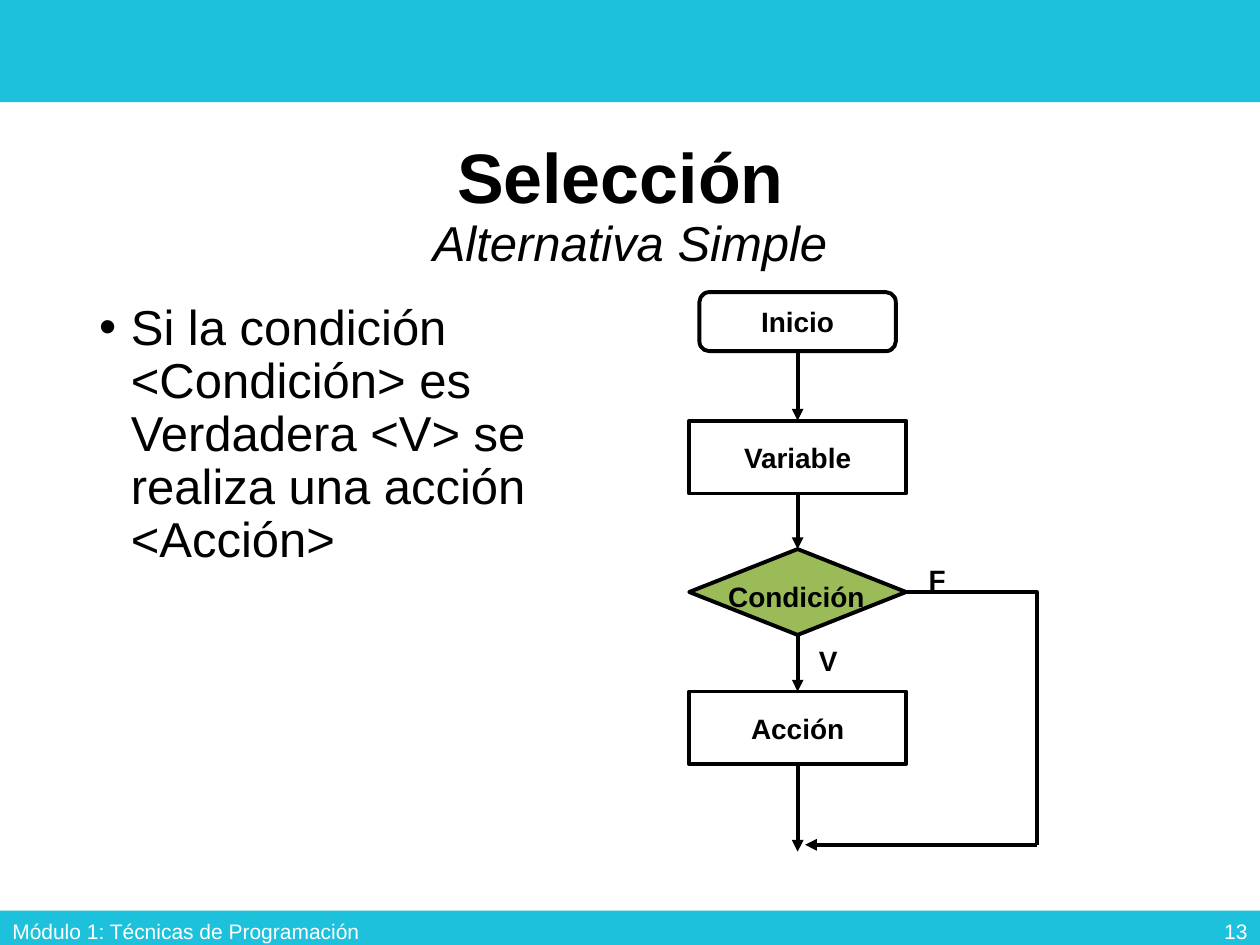
from lxml.etree import SubElement as Sub
from pptx import Presentation
from pptx.dml.color import RGBColor as Rgb
from pptx.enum.shapes import MSO_CONNECTOR as Link, MSO_SHAPE as Form
from pptx.enum.text import MSO_ANCHOR as Anchor, MSO_AUTO_SIZE as Fit, PP_ALIGN as Align
from pptx.oxml.ns import qn
from pptx.util import Cm, Pt

THEME = {
    "font": "Arial", "ink": "000000", "bar": "1DC1DC", "pale": "FFFFFF", "test": "9BBB59",
    "title": 40, "body": 28, "node": 16, "foot": 12, "line": 2.25,
}
WIDE, HIGH = 25.4, 19.05
AXIS, STOP = 16.08, 17.17
SIDE, BACK, JOIN = 20.9, 17.03, 16.23
PAD = 0.25

HEAD = "Selección "
SUBHEAD = "Alternativa Simple"
BODY = "Si la condición <Condición> es Verdadera <V> se realiza una acción <Acción>"
BARS = [(0, 2.06), (18.36, 0.69)]
FOOT = [
    ("Módulo 1: Técnicas de Programación", 0, 8.59, Align.LEFT),
    ("13", 19.69, 5.71, Align.RIGHT),
]
NODES = [
    ("Inicio", Form.ROUNDED_RECTANGLE, 5.89, 3.96, 1.19),
    ("Variable", Form.RECTANGLE, 8.48, 4.37, 1.47),
    ("", Form.DIAMOND, 11.07, 4.37, 1.73),
    ("Acción", Form.RECTANGLE, 13.94, 4.37, 1.47),
]
LABELS = [
    ("Condición", 14.43, 11.43, 3.96),
    ("F", 18.47, 11.1, 2.08),
    ("V", 16.26, 12.73, 2.08),
]


def tint(name):
    return Rgb.from_string(THEME[name])


def style(font, size, color="ink", bold=False, italic=False):
    font.name, font.size = THEME["font"], Pt(THEME[size])
    font.bold, font.italic = bold, italic
    font.color.rgb = tint(color)


def write(shape, text, size, color="ink", bold=False, align=Align.LEFT,
          anchor=Anchor.TOP, pad=None):
    frame = shape.text_frame
    frame.word_wrap, frame.vertical_anchor = True, anchor
    if pad is not None:
        frame.margin_left = frame.margin_right = Cm(pad)
        frame.margin_top = frame.margin_bottom = Cm(pad)
    para = frame.paragraphs[0]
    para.text, para.alignment = text, align
    style(para.font, size, color, bold)
    return para


def box(slide, *place):
    return slide.shapes.add_textbox(*map(Cm, place))


def form(slide, kind, place, fill=None, line=None):
    shape = slide.shapes.add_shape(kind, *map(Cm, place))
    shape.shadow.inherit = False
    if fill:
        shape.fill.solid()
        shape.fill.fore_color.rgb = tint(fill)
    else:
        shape.fill.background()
    if line:
        shape.line.color.rgb = tint(line)
        shape.line.width = Pt(THEME["line"])
    else:
        shape.line.fill.background()
    return shape


def join(slide, start, end, kind=Link.STRAIGHT, arrow=True):
    link = slide.shapes.add_connector(kind, *map(Cm, start + end))
    link.line.color.rgb = tint("ink")
    link.line.width = Pt(THEME["line"])
    if arrow:
        Sub(link.line._get_or_add_ln(), qn("a:tailEnd"), type="triangle")
    Sub(link.element.spPr, qn("a:effectLst"))
    return link


def frame(slide):
    for top, high in BARS:
        form(slide, Form.RECTANGLE, (0, top, WIDE, high), "bar")
    for text, left, wide, align in FOOT:
        write(box(slide, left, 18.26, wide, 1.02), text, "foot", "pale",
              align=align, anchor=Anchor.MIDDLE)


def words(slide):
    title = slide.shapes.title
    title.left, title.top, title.width, title.height = map(Cm, (1.75, 2.49, 21.9, 3.38))
    title.text_frame.auto_size = Fit.NONE
    para = write(title, HEAD, "title", bold=True, align=Align.CENTER, anchor=Anchor.MIDDLE)
    para.line_spacing = 0.9
    para.add_line_break()
    run = para.add_run()
    run.text = SUBHEAD
    style(run.font, "body", italic=True)

    para = write(box(slide, 1.75, 5.99, 12.17, 12.09), BODY, "body")
    para.line_spacing, para.space_before = 0.9, Pt(10)
    props = para._p.get_or_add_pPr()
    props.set("marL", str(Cm(0.64)))
    props.set("indent", str(-Cm(0.64)))
    Sub(props, qn("a:buFont"), typeface=THEME["font"])
    Sub(props, qn("a:buChar"), char="•")
    for tag in props.findall(qn("a:defRPr")):
        props.append(tag)


def chart(slide):
    ends = [node[2] for node in NODES[1:]] + [STOP]
    for (text, kind, top, wide, high), end in zip(NODES, ends):
        test = kind == Form.DIAMOND
        place = (AXIS - wide / 2, top, wide, high)
        shape = form(slide, kind, place, "test" if test else None, "ink")
        if text:
            write(shape, text, "node", bold=True, align=Align.CENTER,
                  anchor=Anchor.MIDDLE, pad=PAD)
        join(slide, (AXIS, top + high), (AXIS, end))
        if test:
            exit = (AXIS + wide / 2, top + high / 2)
            bend = join(slide, exit, (SIDE, BACK), Link.ELBOW, False)
            bend.element.spPr.find(qn("a:prstGeom")).set("prst", "bentConnector2")
    join(slide, (SIDE, BACK), (JOIN, BACK))
    for text, left, top, wide in LABELS:
        write(box(slide, left, top, wide, 1.47), text, "node", bold=True, pad=PAD)


def main():
    deck = Presentation()
    deck.slide_width, deck.slide_height = Cm(WIDE), Cm(HIGH)
    slide = deck.slides.add_slide(deck.slide_layouts[5])
    frame(slide)
    words(slide)
    chart(slide)
    deck.save("out.pptx")


if __name__ == "__main__":
    main()
